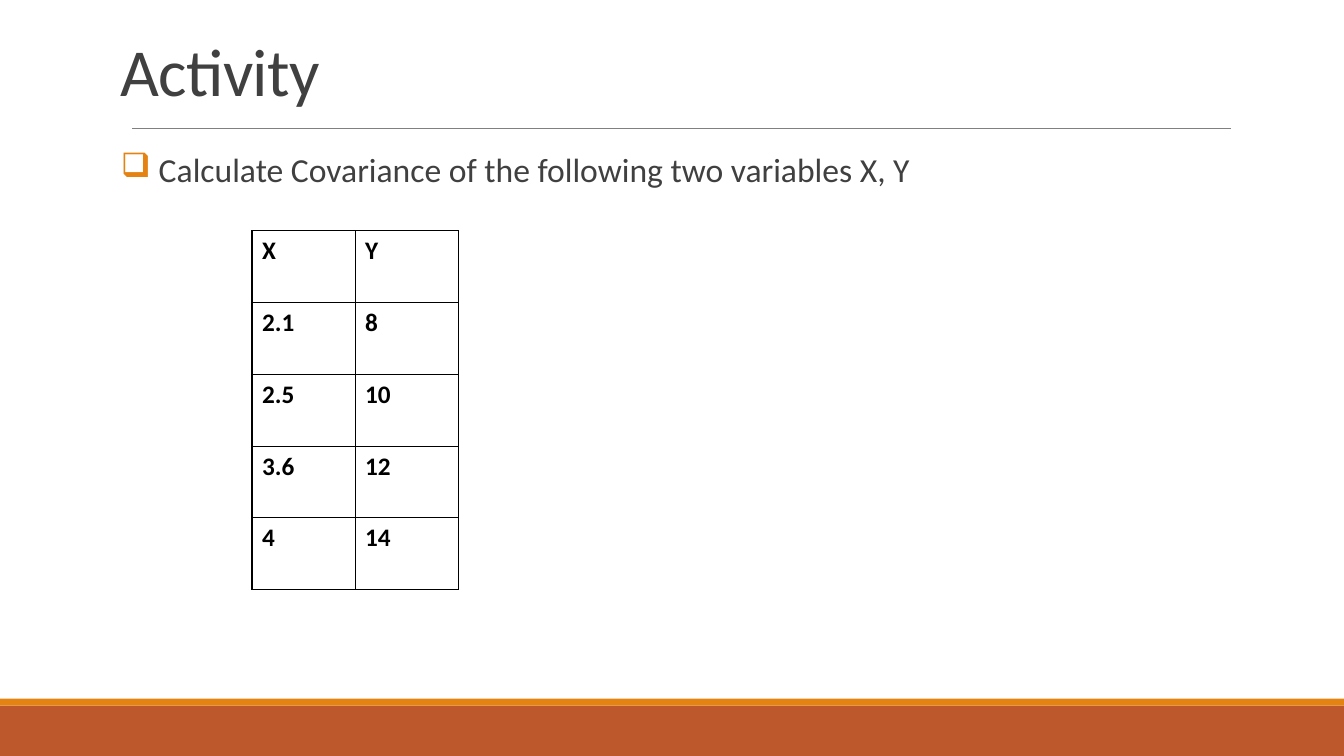
from lxml import etree
from pptx import Presentation
from pptx.dml.color import RGBColor
from pptx.enum import shapes, text
from pptx.oxml import ns
from pptx.util import Pt


def style(font, size, color, bold=False):
    font.name, font.size, font.bold = "Calibri", Pt(size), bold
    font.color.rgb = RGBColor.from_string(color)


def add_xml(parent, tag, **attrs):
    return etree.SubElement(parent, ns.qn(tag), attrs)


prs = Presentation()
prs.slide_width, prs.slide_height = Pt(960), Pt(540)
s = prs.slides.add_slide(prs.slide_layouts[5])

# Footer bands
for top, height, color in [(504, 36, "BD582C"), (499, 5, "E48312")]:
    band = s.shapes.add_shape(shapes.MSO_SHAPE.RECTANGLE, 0, Pt(top), Pt(960), Pt(height))
    band.shadow.inherit = False
    band.fill.solid()
    band.fill.fore_color.rgb = RGBColor.from_string(color)
    band.line.fill.background()

# Title and rule
rule = s.shapes.add_connector(shapes.MSO_CONNECTOR.STRAIGHT, Pt(94.3), Pt(91.5), Pt(879), Pt(91.5))
rule.line.color.rgb = RGBColor.from_string("808080")
rule.line.width = Pt(0.5)
add_xml(rule._element.spPr, "a:effectLst")

title = s.shapes.title
title.left, title.top, title.width, title.height = Pt(79), Pt(4.5), Pt(792), Pt(78)
tf = title.text_frame
tf.text = "Activity"
tf.word_wrap = True
tf.auto_size = text.MSO_AUTO_SIZE.NONE
tf.vertical_anchor = text.MSO_ANCHOR.BOTTOM
p = tf.paragraphs[0]
p.alignment = text.PP_ALIGN.LEFT
p.line_spacing = 0.85
r = p.runs[0]
style(r.font, 48, "404040")
r.font._element.set("spc", "-50")

# Task
task = s.shapes.add_textbox(Pt(86.4), Pt(106), Pt(792), Pt(356))
tf = task.text_frame
tf.word_wrap = True
tf.margin_left = tf.margin_right = 0
tf.text = "Calculate Covariance of the following two variables X, Y"
p = tf.paragraphs[0]
p.line_spacing = 0.9
p.space_after = Pt(2)
pPr = p._p.get_or_add_pPr()
pPr.set("marL", str(Pt(27)))
pPr.set("indent", str(-Pt(27)))
add_xml(add_xml(pPr, "a:buClr"), "a:srgbClr", val="E48312")
add_xml(pPr, "a:buChar", char="❑")
style(p.runs[0].font, 24, "404040")

# Data table
data = [("X", "Y"), ("2.1", "8"), ("2.5", "10"), ("3.6", "12"), ("4", "14")]
col_width, row_height = 73.7, 51.3
frame = s.shapes.add_table(len(data), 2, Pt(180), Pt(164.8),
                           Pt(2 * col_width), Pt(len(data) * row_height))
table = frame.table
table.first_row = table.horz_banding = False
for col in table.columns:
    col.width = Pt(col_width)
for row, values in zip(table.rows, data):
    row.height = Pt(row_height)
    for cell, value in zip(row.cells, values):
        cell.text = value
        style(cell.text_frame.paragraphs[0].runs[0].font, 18, "000000", bold=True)
        tcPr = cell._tc.get_or_add_tcPr()
        for side in "LRTB":
            ln = add_xml(tcPr, f"a:ln{side}", w=str(Pt(1)))
            add_xml(add_xml(ln, "a:solidFill"), "a:srgbClr", val="000000")
        cell.fill.background()

prs.save("out.pptx")
